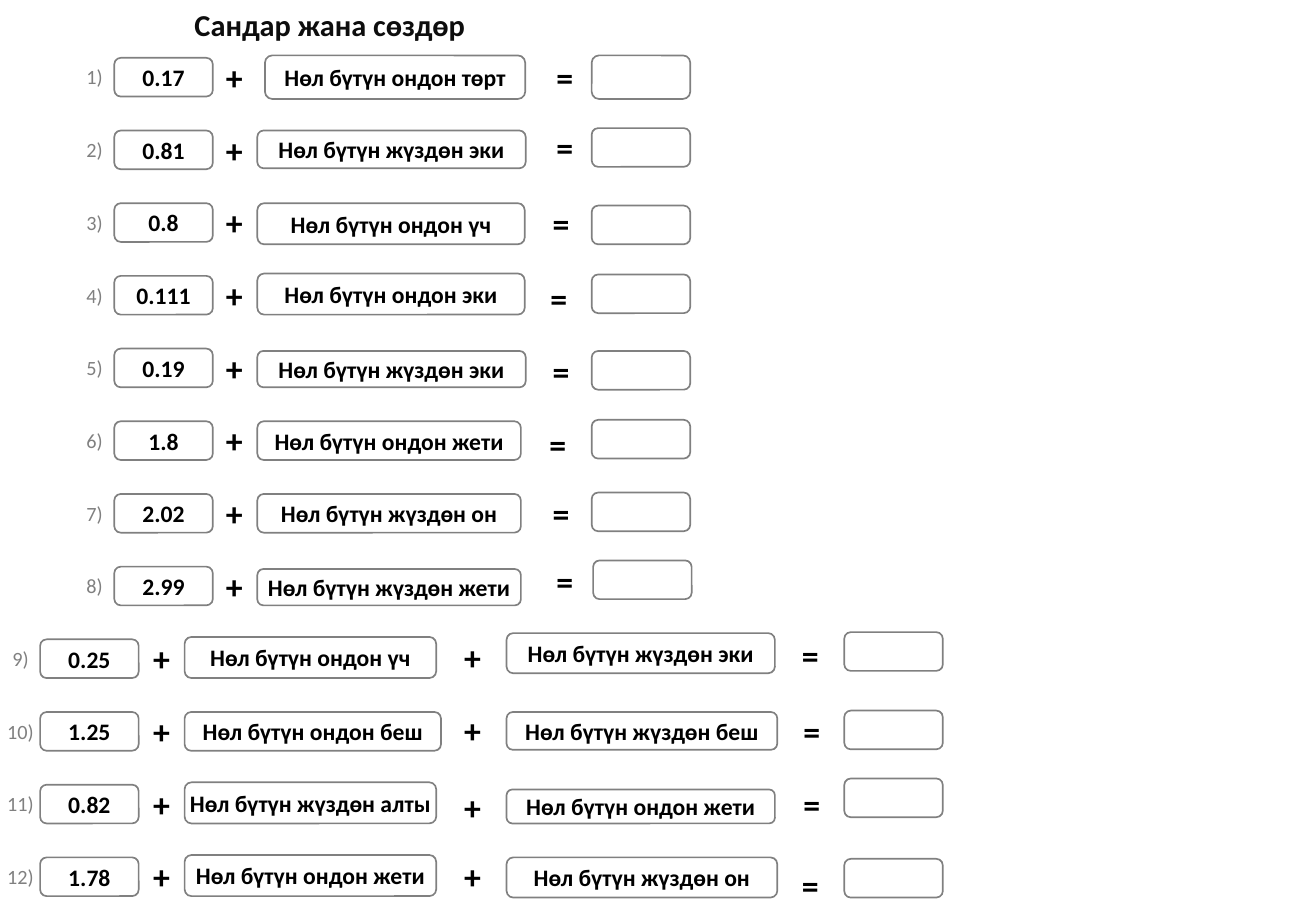
from pptx import Presentation
from pptx.dml.color import RGBColor
from pptx.enum.shapes import MSO_SHAPE
from pptx.enum.text import MSO_ANCHOR, MSO_AUTO_SIZE, PP_ALIGN
from pptx.util import Cm, Pt

TITLE = "Сандар жана сөздөр"

# Lengths are in cm; every drop is measured from the top of the row.
# number, words (text, left, drop, width, height), drops of the pluses,
# equals (left, drop), answer (left, drop, height)
EXERCISES = [
    ("0.17", [("Нөл бүтүн ондон төрт", 5.54, -0.05, 5.44, 0.91)],
     [-0.15], (11.38, -0.15), (12.37, -0.05, 0.91)),
    ("0.81", [("Нөл бүтүн жүздөн эки", 5.38, 0, 5.61, 0.79)],
     [-0.15], (11.38, -0.2), (12.37, -0.05, 0.81)),
    ("0.8", [("Нөл бүтүн ондон үч", 5.38, 0, 5.59, 0.86)],
     [-0.15], (11.3, -0.13), (12.37, 0.05, 0.81)),
    ("0.111", [("Нөл бүтүн ондон эки", 5.38, -0.05, 5.59, 0.86)],
     [-0.15], (11.25, -0.08), (12.37, -0.03, 0.81)),
    ("0.19", [("Нөл бүтүн жүздөн эки", 5.38, 0.05, 5.61, 0.76)],
     [-0.15], (11.3, -0.08), (12.37, 0.05, 0.81)),
    ("1.8", [("Нөл бүтүн ондон жети", 5.38, 0, 5.51, 0.81)],
     [-0.15], (11.23, -0.08), (12.37, -0.03, 0.81)),
    ("2.02", [("Нөл бүтүн жүздөн он", 5.38, 0, 5.51, 0.81)],
     [-0.15], (11.3, -0.15), (12.37, -0.03, 0.81)),
    ("2.99", [("Нөл бүтүн жүздөн жети", 5.38, 0.05, 5.51, 0.76)],
     [-0.15], (11.38, -0.25), (12.4, -0.13, 0.81)),
    ("0.25", [("Нөл бүтүн ондон үч", 3.86, -0.05, 5.26, 0.86),
              ("Нөл бүтүн жүздөн эки", 10.59, -0.13, 5.61, 0.84)],
     [-0.15, -0.18], (16.51, -0.23), (17.65, -0.15, 0.81)),
    ("1.25", [("Нөл бүтүн ондон беш", 3.86, 0, 5.36, 0.81),
              ("Нөл бүтүн жүздөн беш", 10.59, 0, 5.66, 0.79)],
     [-0.15, -0.18], (16.54, -0.15), (17.65, -0.03, 0.81)),
    ("0.82", [("Нөл бүтүн жүздөн алты", 3.86, -0.05, 5.26, 0.86),
              ("Нөл бүтүн ондон жети", 10.59, 0.1, 5.61, 0.71)],
     [-0.15, -0.08], (16.54, -0.15), (17.65, -0.13, 0.81)),
    ("1.78", [("Нөл бүтүн ондон жети", 3.86, -0.05, 5.26, 0.86),
              ("Нөл бүтүн жүздөн он", 10.59, 0, 5.66, 0.84)],
     [-0.15, -0.15], (16.51, 0.03), (17.65, 0.03, 0.81)),
]

FIRST_ROW, ROW_PITCH = 1.21, 1.52
NUMBER_WIDTH, NUMBER_HEIGHT = 2.06, 0.81
SIGN_WIDTH, SIGN_HEIGHT = 0.86, 1.12
LABEL_HEIGHT = 0.76
# By count of words: label centre, number left, lefts of the pluses
COLUMNS = {1: (1.98, 2.39, [4.47]), 2: (0.43, 0.84, [2.95, 9.45])}

TITLE_FONT = {"name": "Calibri", "size": Pt(18), "bold": True}
BOX_FONT = {"name": "Calibri", "size": Pt(14), "bold": True}
SIGN_FONT = {"name": "Calibri", "size": Pt(20), "bold": True}
LABEL_FONT = {"name": "Calibri", "size": Pt(12), "bold": False}
FREE_FRAME = {"word_wrap": False, "auto_size": MSO_AUTO_SIZE.SHAPE_TO_FIT_TEXT,
              "vertical_anchor": MSO_ANCHOR.TOP}
BOX_FRAME = {"word_wrap": True, "vertical_anchor": MSO_ANCHOR.MIDDLE,
             "margin_left": 0, "margin_right": 0, "margin_top": 0, "margin_bottom": 0}


def paint(color_format, color):
    color_format.rgb = RGBColor.from_string(color)


def apply(target, values):
    for attribute, value in values.items():
        setattr(target, attribute, value)


def write(shape, text, frame_format, font_format, color):
    frame = shape.text_frame
    frame.text = text
    apply(frame, frame_format)
    paragraph = frame.paragraphs[0]
    paragraph.alignment = PP_ALIGN.CENTER
    font = paragraph.runs[0].font
    apply(font, font_format)
    paint(font.color, color)


def add_box(left, top, width, height, text=""):
    box = slide.shapes.add_shape(MSO_SHAPE.ROUNDED_RECTANGLE,
                                 Cm(left), Cm(top), Cm(width), Cm(height))
    box.shadow.inherit = False
    box.fill.background()
    paint(box.line.color, "808080")
    box.line.width = Pt(1)
    if text:
        write(box, text, BOX_FRAME, BOX_FONT, "000000")


def add_text(left, top, width, height, text, font_format, color):
    free_text = slide.shapes.add_textbox(Cm(left), Cm(top), Cm(width), Cm(height))
    write(free_text, text, FREE_FRAME, font_format, color)


def add_sign(left, top, sign):
    add_text(left, top, SIGN_WIDTH, SIGN_HEIGHT, sign, SIGN_FONT, "000000")


presentation = Presentation()
presentation.slide_width, presentation.slide_height = Cm(27.51), Cm(19.05)
slide = presentation.slides.add_slide(presentation.slide_layouts[5])

title = slide.shapes.title
apply(title, {"left": Cm(3.53), "top": Cm(0), "width": Cm(6.73), "height": Cm(1.02)})
write(title, TITLE, FREE_FRAME, TITLE_FONT, "0D0D0D")

for row, (number, words, plus_drops, equals, answer) in enumerate(EXERCISES):
    top = FIRST_ROW + row * ROW_PITCH
    label_centre, number_left, plus_lefts = COLUMNS[len(words)]

    label = f"{row + 1})"
    label_width = 0.86 if len(label) == 2 else 1.07
    add_text(label_centre - label_width / 2, top + 0.02, label_width, LABEL_HEIGHT,
             label, LABEL_FONT, "808080")
    add_box(number_left, top, NUMBER_WIDTH, NUMBER_HEIGHT, number)

    for plus_left, plus_drop, word in zip(plus_lefts, plus_drops, words):
        add_sign(plus_left, top + plus_drop, "+")
        text, left, drop, width, height = word
        add_box(left, top + drop, width, height, text)

    equals_left, equals_drop = equals
    add_sign(equals_left, top + equals_drop, "=")
    answer_left, answer_drop, answer_height = answer
    add_box(answer_left, top + answer_drop, NUMBER_WIDTH, answer_height)

presentation.save("out.pptx")
